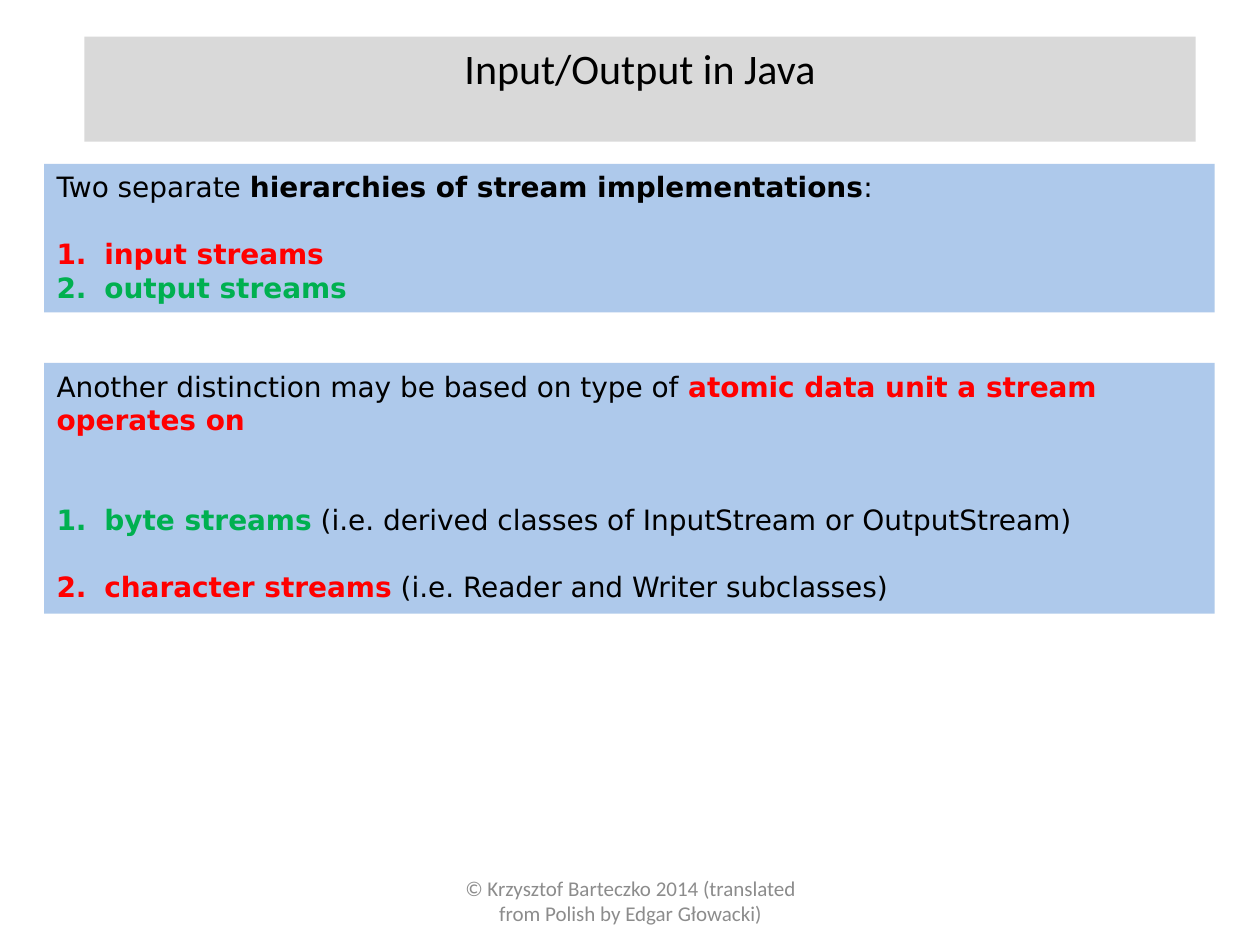
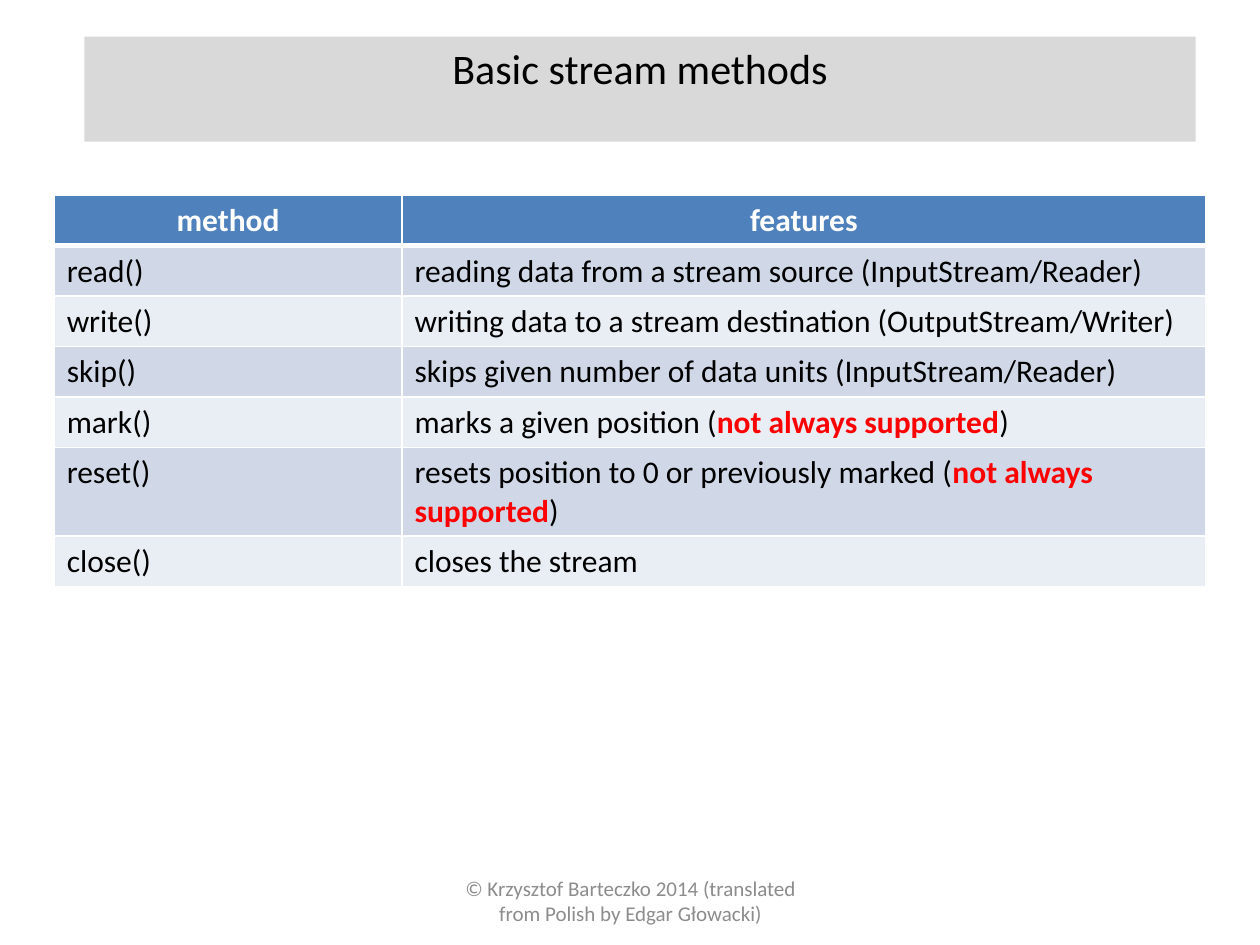
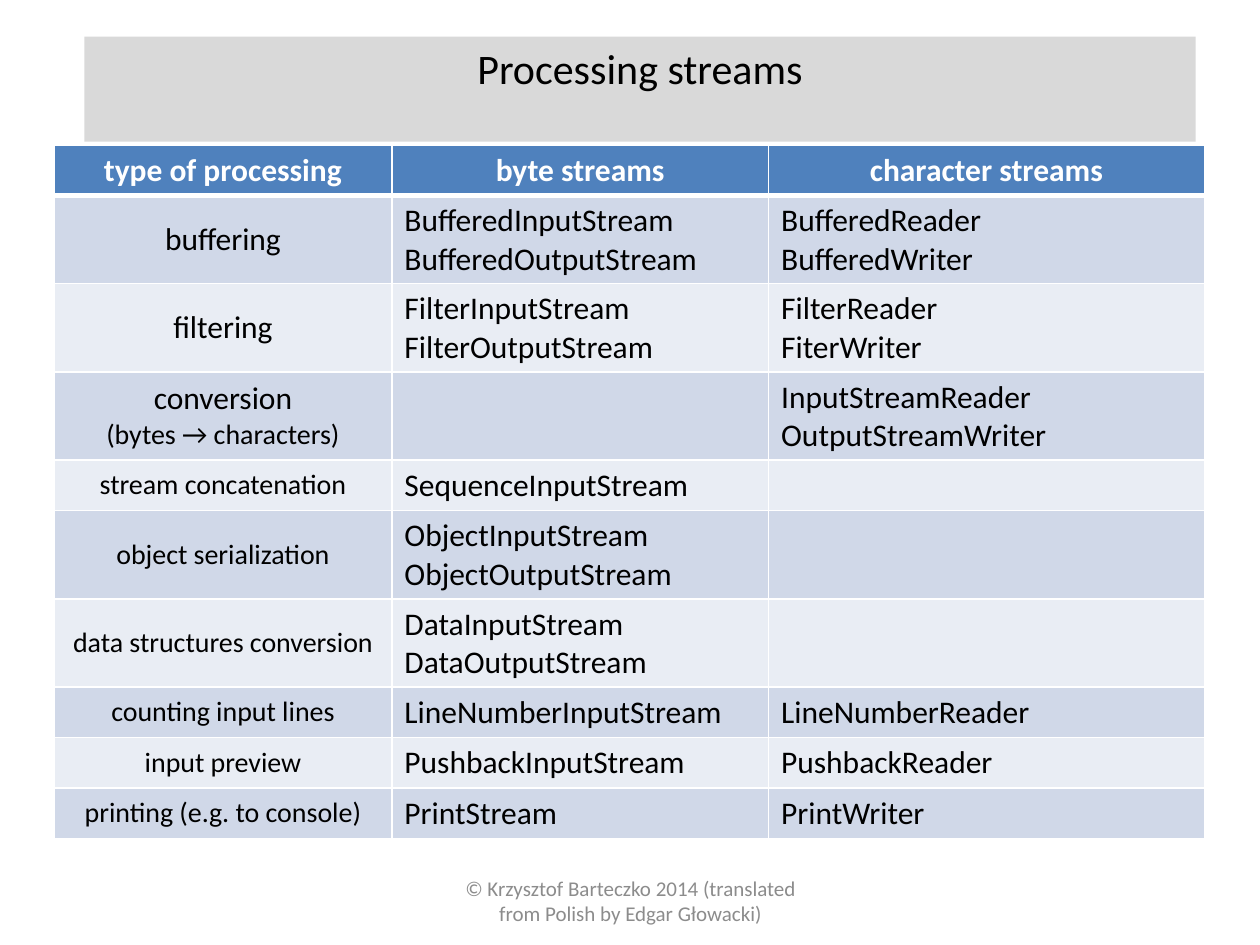
from dataclasses import dataclass

from lxml.etree import SubElement
from pptx import Presentation
from pptx.dml.color import RGBColor
from pptx.enum.shapes import MSO_SHAPE as Preset
from pptx.enum.text import MSO_ANCHOR as Anchor, MSO_AUTO_SIZE as AutoSize, PP_ALIGN as Align
from pptx.oxml import parse_xml
from pptx.oxml.ns import nsdecls, qn
from pptx.util import Emu, Inches, Pt

SLIDE_W, SLIDE_H = Inches(10), Inches(7.5)
COLUMN, ROW = SLIDE_W // 100, SLIDE_H // 75

BODY_FONT, PANEL_FONT = "Calibri", "DejaVu Sans"
BLACK, WHITE, RED, GREEN = "000000", "FFFFFF", "FF0000", "00B050"
TITLE_BAND, PANEL_BLUE, FOOTER_GREY = "D9D9D9", "8EB4E3", "8C8C8C"
HEADER_BLUE, ROW_BANDS = "4F81BD", ("D0D8E8", "E9EDF4")
PANEL_OPACITY = 71
PANEL_LINE = 19
FOOTER = "© Krzysztof Barteczko 2014 (translated from Polish by Edgar Głowacki)"


@dataclass
class Phrase:
    """A stretch of text in one style."""
    text: str
    color: str = BLACK
    bold: bool = False


@dataclass
class Line:
    """A panel paragraph; gap counts the text lines left open above it."""
    phrases: list
    numbered: bool = False
    gap: int = 0


def grid(left, top, width, height):
    return [Emu(round(n * unit)) for n, unit in
            zip((left, top, width, height), (COLUMN, ROW, COLUMN, ROW))]


def paint(fill, color):
    fill.solid()
    fill.fore_color.rgb = RGBColor.from_string(color)


def write(paragraph, phrases, size, font=BODY_FONT, align=Align.LEFT):
    paragraph.alignment = align
    for phrase in phrases:
        run = paragraph.add_run()
        run.text = phrase.text
        run.font.name, run.font.size, run.font.bold = font, Pt(size), phrase.bold
        run.font.color.rgb = RGBColor.from_string(phrase.color)


def paragraphs(frame, count):
    """Yield the first paragraph of the frame, then new ones."""
    for index in range(count):
        yield frame.add_paragraph() if index else frame.paragraphs[0]


def number(paragraph):
    properties = paragraph._p.get_or_add_pPr()
    properties.set("marL", str(Inches(0.38)))
    properties.set("indent", str(-Inches(0.38)))
    SubElement(properties, qn("a:buFont"), typeface="+mj-lt")
    SubElement(properties, qn("a:buAutoNum"), type="arabicPeriod")


def add_titled_slide(deck, heading):
    slide = deck.slides.add_slide(deck.slide_layouts[5])
    title = slide.shapes.title
    title.left, title.top, title.width, title.height = grid(6.7, 2.9, 88.2, 5)
    paint(title.fill, TITLE_BAND)
    frame = title.text_frame
    frame.vertical_anchor, frame.auto_size = Anchor.TOP, AutoSize.SHAPE_TO_FIT_TEXT
    write(frame.paragraphs[0], [Phrase(heading)], 24, align=Align.CENTER)

    footer = slide.shapes.add_textbox(*grid(34.2, 69.5, 31.7, 4)).text_frame
    footer.word_wrap, footer.vertical_anchor = True, Anchor.MIDDLE
    write(footer.paragraphs[0], [Phrase(FOOTER, FOOTER_GREY)], 12, align=Align.CENTER)
    return slide


def add_panel(slide, top, height, lines):
    panel = slide.shapes.add_shape(Preset.RECTANGLE, *grid(3.5, top, 92.9, height))
    panel.shadow.inherit = False
    panel.line.fill.background()
    paint(panel.fill, PANEL_BLUE)
    tint = panel._element.spPr.find(qn("a:solidFill"))[0]
    SubElement(tint, qn("a:alpha"), val=str(PANEL_OPACITY * 1000))
    frame = panel.text_frame
    frame.word_wrap, frame.vertical_anchor = True, Anchor.TOP
    frame.auto_size = AutoSize.SHAPE_TO_FIT_TEXT
    for paragraph, line in zip(paragraphs(frame, len(lines)), lines):
        if line.gap:
            paragraph.space_before = Pt(line.gap * PANEL_LINE)
        if line.numbered:
            number(paragraph)
        write(paragraph, line.phrases, 16, PANEL_FONT)


def rule_cell(cell, top, bottom):
    """Draw white borders, with the given weights above and below."""
    properties = cell._tc.get_or_add_tcPr()
    for index, (side, weight) in enumerate(zip("LRTB", (1, 1, top, bottom))):
        properties.insert(index, parse_xml(
            f'<a:ln{side} {nsdecls("a")} w="{Pt(weight)}"><a:solidFill>'
            f'<a:srgbClr val="{WHITE}"/></a:solidFill></a:ln{side}>'))


def fill_cell(cell, lines, color, align=Align.LEFT):
    """Write lines given as (size, phrases)."""
    paint(cell.fill, color)
    for paragraph, (size, phrases) in zip(paragraphs(cell.text_frame, len(lines)), lines):
        write(paragraph, phrases, size, align=align)


def add_grid_table(slide, top, widths, header, rows, tall_rows, centred_first=False):
    heights = [7 if index in tall_rows else 4 for index in range(len(rows) + 1)]
    table = slide.shapes.add_table(len(heights), len(widths),
                                   *grid(4.3, top, sum(widths), sum(heights))).table
    for column, width in zip(table.columns, widths):
        column.width = round(width * COLUMN)
    for row, height in zip(table.rows, heights):
        row.height = height * ROW
    for c, label in enumerate(header):
        cell = table.cell(0, c)
        fill_cell(cell, [(18, [Phrase(label, WHITE, True)])], HEADER_BLUE, Align.CENTER)
        rule_cell(cell, 1, 3)
    for r, row in enumerate(rows, 1):
        for c, lines in enumerate(row):
            cell = table.cell(r, c)
            centred = centred_first and c == 0
            fill_cell(cell, lines, ROW_BANDS[(r - 1) % 2],
                      Align.CENTER if centred else Align.LEFT)
            if centred:
                cell.vertical_anchor = Anchor.MIDDLE
            rule_cell(cell, 3 if r == 1 else 1, 1)


def add_hierarchies(deck):
    slide = add_titled_slide(deck, "Input/Output in Java")
    add_panel(slide, 13, 11.8, [
        Line([Phrase("Two separate "),
              Phrase("hierarchies of stream implementations", bold=True), Phrase(":")]),
        Line([Phrase("input streams", RED, True)], numbered=True, gap=1),
        Line([Phrase("output streams", GREEN, True)], numbered=True),
    ])
    add_panel(slide, 28.8, 19.9, [
        Line([Phrase("Another distinction may be based on type of "),
              Phrase("atomic data unit a stream operates on", RED, True)]),
        Line([Phrase("byte streams", GREEN, True),
              Phrase(" (i.e. derived classes of InputStream or OutputStream)")],
             numbered=True, gap=2),
        Line([Phrase("character streams", RED, True),
              Phrase(" (i.e. Reader and Writer subclasses)")], numbered=True, gap=1),
    ])


def add_methods(deck):
    slide = add_titled_slide(deck, "Basic stream methods")
    unsupported = [Phrase("not always supported", RED, True), Phrase(")")]
    methods = [
        ("read()", [Phrase("reading data from a stream source (InputStream/Reader)")]),
        ("write()", [Phrase("writing data to a stream destination (OutputStream/Writer)")]),
        ("skip()", [Phrase("skips given number of data units (InputStream/Reader)")]),
        ("mark()", [Phrase("marks a given position ("), *unsupported]),
        ("reset()", [Phrase("resets position to 0 or previously marked ("), *unsupported]),
        ("close()", [Phrase("closes the stream")]),
    ]
    rows = [([(18, [Phrase(method)])], [(18, features)]) for method, features in methods]
    add_grid_table(slide, 15.5, (27.6, 63.8), ("method", "features"), rows, tall_rows={5})


def add_processing(deck):
    slide = add_titled_slide(deck, "Processing streams")
    processing = [
        ([(18, "buffering")], ["BufferedInputStream", "BufferedOutputStream"],
         ["BufferedReader", "BufferedWriter"]),
        ([(18, "filtering")], ["FilterInputStream", "FilterOutputStream"],
         ["FilterReader", "FiterWriter"]),
        ([(18, "conversion"), (16, "(bytes → characters)")], [],
         ["InputStreamReader", "OutputStreamWriter"]),
        ([(16, "stream concatenation")], ["SequenceInputStream"], []),
        ([(16, "object serialization")], ["ObjectInputStream", "ObjectOutputStream"], []),
        ([(16, "data structures conversion")], ["DataInputStream", "DataOutputStream"], []),
        ([(16, "counting input lines")], ["LineNumberInputStream"], ["LineNumberReader"]),
        ([(16, "input preview")], ["PushbackInputStream"], ["PushbackReader"]),
        ([(16, "printing (e.g. to console)")], ["PrintStream"], ["PrintWriter"]),
    ]
    rows = [[[(size, [Phrase(text)]) for size, text in kind],
             *([(18, [Phrase(name)]) for name in classes] for classes in families)]
            for kind, *families in processing]
    tall_rows = {r for r, row in enumerate(rows, 1) if max(map(len, row)) > 1}
    add_grid_table(slide, 11.5, (26.8, 29.9, 34.6),
                   ("type of processing", "byte streams", "character streams"),
                   rows, tall_rows, centred_first=True)


def main():
    deck = Presentation()
    deck.slide_width, deck.slide_height = SLIDE_W, SLIDE_H
    add_hierarchies(deck)
    add_methods(deck)
    add_processing(deck)
    deck.save("out.pptx")


if __name__ == "__main__":
    main()
